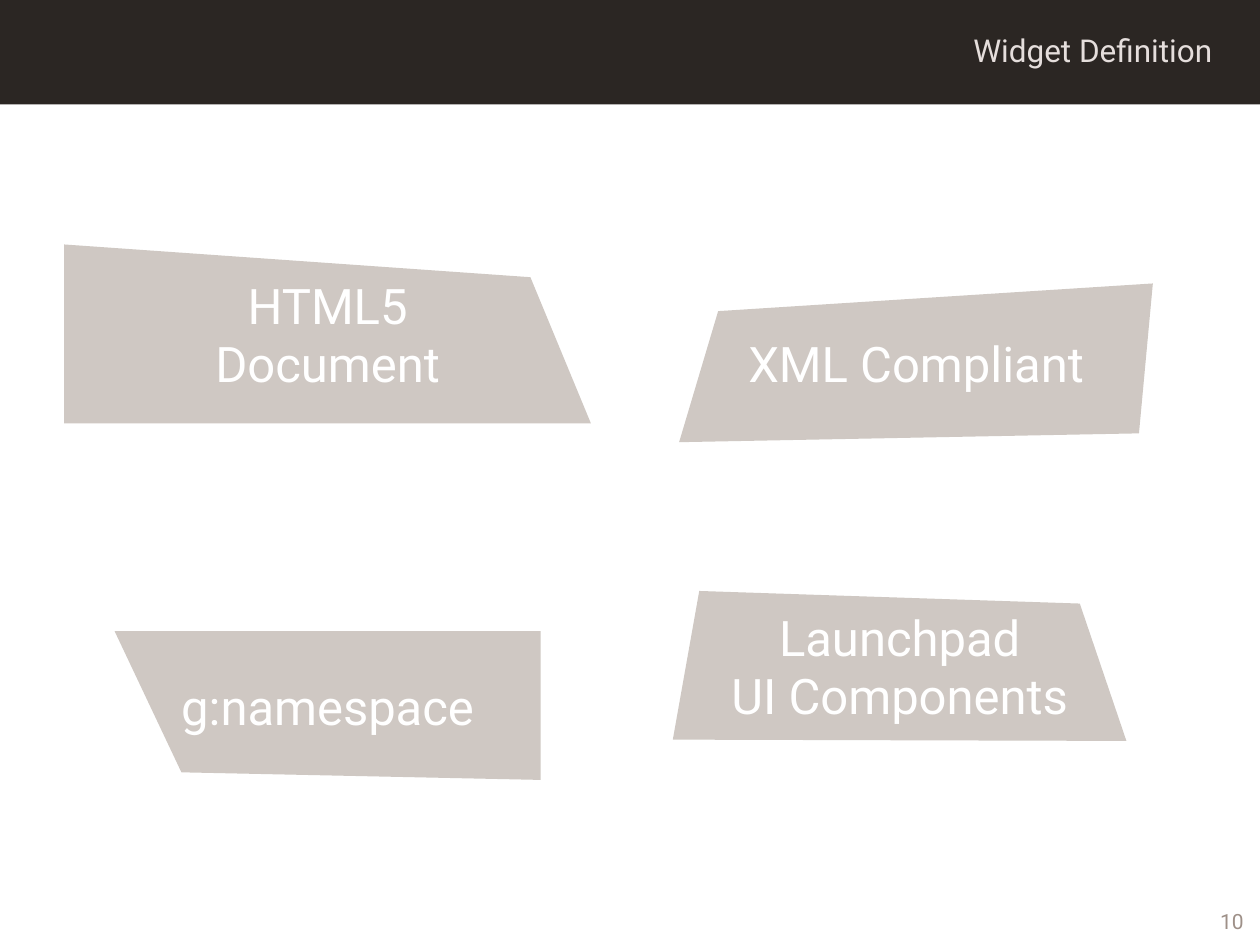
from dataclasses import dataclass

from pptx import Presentation
from pptx import util as u
from pptx.dml.color import RGBColor
from pptx.enum import shapes, text


@dataclass(frozen=True)
class Theme:
    font: str = "Roboto"
    bar: str = "2B2623"
    panel: str = "CFC8C3"
    title: str = "E5DEDC"
    label: str = "FFFFFF"
    number: str = "9E9088"
    title_size: int = 18
    label_size: int = 28
    number_size: int = 12


class SlideBuilder:
    def __init__(self, s, theme):
        self.s = s
        self.theme = theme

    def paint(self, sp, color):
        sp.shadow.inherit = False
        sp.fill.solid()
        sp.fill.fore_color.rgb = RGBColor.from_string(color)
        sp.line.fill.background()

    def set_text(self, sp, content, size, color, align, anchor, wrap=True):
        tf = sp.text_frame
        tf.text = content
        tf.word_wrap = wrap
        tf.vertical_anchor = anchor
        for p in tf.paragraphs:
            p.alignment = align
            for r in p.runs:
                r.font.name = self.theme.font
                r.font.size = u.Pt(size)
                r.font.color.rgb = RGBColor.from_string(color)

    def bar(self, *box):
        sp = self.s.shapes.add_shape(shapes.MSO_SHAPE.RECTANGLE, *map(u.Inches, box))
        self.paint(sp, self.theme.bar)

    def right_text(self, content, box, size, color, anchor):
        sp = self.s.shapes.add_textbox(*map(u.Inches, box))
        self.set_text(sp, content, size, color, text.PP_ALIGN.RIGHT, anchor)

    def panel(self, content, corners):
        start, *rest = [(u.Inches(x), u.Inches(y)) for x, y in corners]
        fb = self.s.shapes.build_freeform(*start)
        fb.add_line_segments(rest, close=True)
        sp = fb.convert_to_shape()
        self.paint(sp, self.theme.panel)
        self.set_text(sp, content, self.theme.label_size, self.theme.label,
                      text.PP_ALIGN.CENTER, text.MSO_ANCHOR.MIDDLE, wrap=False)


PANELS = [
    ("HTML5\nDocument", [(0.51, 1.94), (4.21, 2.2), (4.69, 3.36), (0.51, 3.36)]),
    ("XML Compliant", [(5.7, 2.47), (9.15, 2.25), (9.04, 3.44), (5.39, 3.51)]),
    ("g:namespace", [(0.91, 5.01), (4.29, 5.01), (4.29, 6.19), (1.44, 6.13)]),
    ("Launchpad\nUI Components", [(5.55, 4.69), (8.57, 4.79), (8.94, 5.88), (5.34, 5.87)]),
]


def main():
    prs = Presentation()
    prs.slide_width = u.Inches(10)
    prs.slide_height = u.Inches(7.5)
    theme = Theme()
    b = SlideBuilder(prs.slides.add_slide(prs.slide_layouts[6]), theme)

    b.bar(0, 0, 10.01, 0.83)
    b.right_text("Widget Definition", (2.87, 0.2, 6.85, 0.4),
                 theme.title_size, theme.title, text.MSO_ANCHOR.TOP)
    b.right_text("10", (8.14, 7.17, 1.83, 0.28),
                 theme.number_size, theme.number, text.MSO_ANCHOR.MIDDLE)
    for content, corners in PANELS:
        b.panel(content, corners)

    prs.save("out.pptx")


if __name__ == "__main__":
    main()
